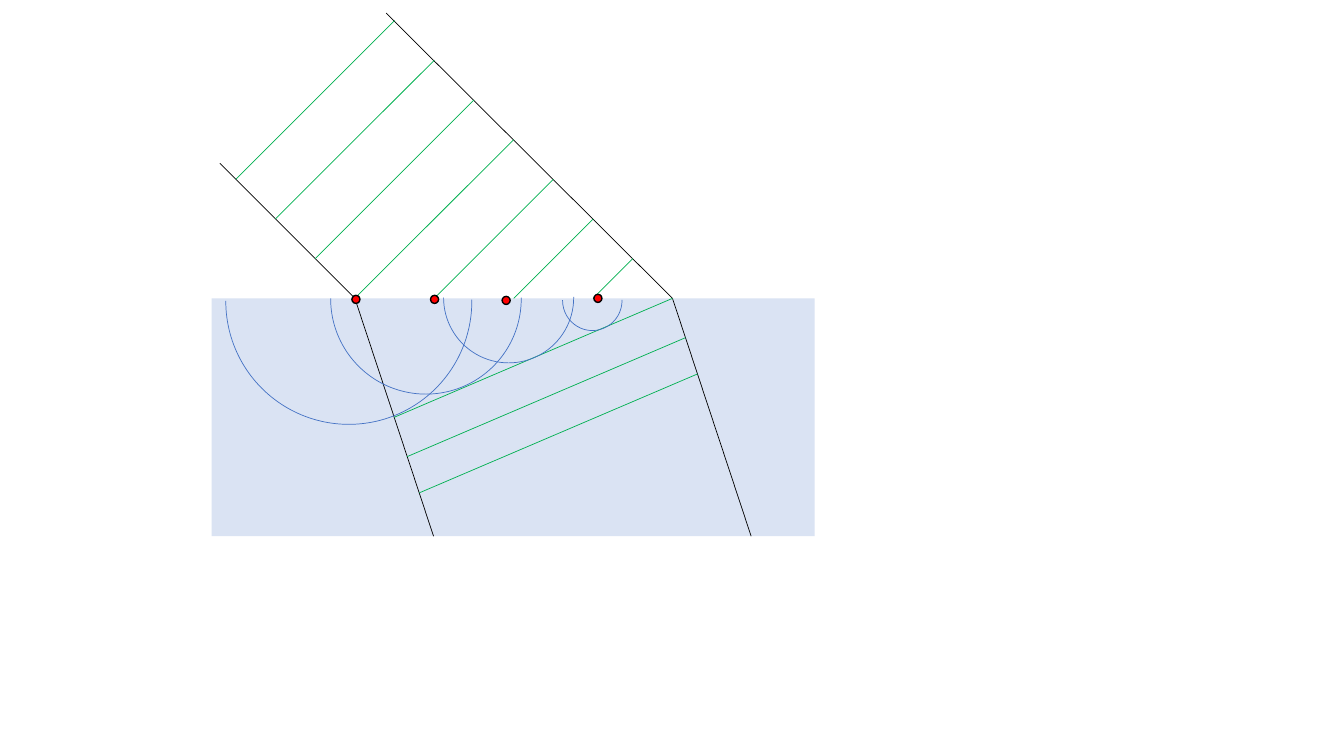
from typing import NamedTuple

from lxml import etree
from pptx import Presentation
from pptx.dml.color import RGBColor
from pptx.enum.shapes import MSO_CONNECTOR, MSO_SHAPE
from pptx.oxml.ns import qn
from pptx.util import Inches, Pt

BLACK = RGBColor(0x00, 0x00, 0x00)
RED = RGBColor(0xFF, 0x00, 0x00)
GREEN = RGBColor(0x00, 0xB0, 0x50)
BLUE = RGBColor(0x44, 0x72, 0xC4)
PALE_BLUE = RGBColor(0xDA, 0xE3, 0xF3)

SURFACE, BOTTOM = 2.96, 5.32
LEFT_HIT, RIGHT_HIT = 3.52, 6.67
REFRACTED_SHIFT = 0.78
SPACING = (RIGHT_HIT - LEFT_HIT) / 8
HALF_CIRCLE = (215.515, 108.156)
SOURCE_SIZE = 0.08


class Point(NamedTuple):
    """A place on the slide, in inches."""
    x: float
    y: float


class Wavelet(NamedTuple):
    """The box of the full circle of one secondary wave, in inches."""
    left: float
    top: float
    width: float
    height: float


WAVELETS = [
    Wavelet(2.24, 1.77, 2.44, 2.44),
    Wavelet(3.28, 2.02, 1.89, 1.89),
    Wavelet(4.4, 2.31, 1.29, 1.29),
    Wavelet(5.58, 2.68, 0.59, 0.6),
]
SOURCES = [Point(4.27, 2.93), Point(4.98, 2.94), Point(5.89, 2.92), Point(3.49, 2.93)]

presentation = Presentation()
presentation.slide_width, presentation.slide_height = Inches(13.33), Inches(7.5)
slide = presentation.slides.add_slide(presentation.slide_layouts[6])


def add_line(start: Point, end: Point, color: RGBColor) -> None:
    """Draw a thin straight line without a shadow."""
    line = slide.shapes.add_connector(
        MSO_CONNECTOR.STRAIGHT, *(Inches(value) for value in (*start, *end)))
    line.line.color.rgb = color
    line.line.width = Pt(0.5)
    etree.SubElement(line._element.spPr, qn("a:effectLst"))


def add_medium() -> None:
    """Draw the denser medium below the surface."""
    medium = slide.shapes.add_shape(
        MSO_SHAPE.RECTANGLE, Inches(2.1), Inches(SURFACE),
        Inches(5.98), Inches(BOTTOM - SURFACE))
    medium.shadow.inherit = False
    medium.fill.solid()
    medium.fill.fore_color.rgb = PALE_BLUE
    medium.line.fill.background()


def add_wavelet(wavelet: Wavelet) -> None:
    """Draw the lower half of a secondary wave."""
    arc = slide.shapes.add_shape(MSO_SHAPE.ARC, *(Inches(value) for value in wavelet))
    arc.adjustments[0], arc.adjustments[1] = HALF_CIRCLE
    arc.shadow.inherit = False
    arc.fill.background()
    arc.line.color.rgb = BLUE
    arc.line.width = Pt(0.5)


def add_source(corner: Point) -> None:
    """Draw a point source on the surface."""
    dot = slide.shapes.add_shape(
        MSO_SHAPE.OVAL, Inches(corner.x), Inches(corner.y),
        Inches(SOURCE_SIZE), Inches(SOURCE_SIZE))
    dot.shadow.inherit = False
    dot.fill.solid()
    dot.fill.fore_color.rgb = RED
    dot.line.color.rgb = BLACK
    dot.line.width = Pt(1)


def add_beam() -> None:
    """Draw both edges of the beam, above and below the surface."""
    for start, hit in ((Point(2.18, 1.62), LEFT_HIT), (Point(3.83, 0.13), RIGHT_HIT)):
        add_line(start, Point(hit, SURFACE), BLACK)
        add_line(Point(hit, SURFACE), Point(hit + REFRACTED_SHIFT, BOTTOM), BLACK)


def add_incident_wavefronts() -> None:
    """Draw equally spaced wavefronts, cut off where they meet the surface."""
    for step in range(-3, 4):
        if step <= 0:
            start = Point(LEFT_HIT + step * SPACING, SURFACE + step * SPACING)
        else:
            start = Point(LEFT_HIT + 2 * step * SPACING, SURFACE)
        end = Point(LEFT_HIT + (4 + step) * SPACING, SURFACE + (step - 4) * SPACING)
        add_line(start, end, GREEN)


def add_refracted_wavefronts() -> None:
    """Draw parallel wavefronts moved down along the refracted beam."""
    for depth in (0, 0.39, 0.75):
        shift = depth * REFRACTED_SHIFT / (BOTTOM - SURFACE)
        add_line(Point(3.91 + shift, 4.14 + depth),
                 Point(RIGHT_HIT + shift, SURFACE + depth), GREEN)


add_medium()
add_beam()
add_refracted_wavefronts()
add_incident_wavefronts()
for wavelet in WAVELETS:
    add_wavelet(wavelet)
for source in SOURCES:
    add_source(source)

presentation.save("out.pptx")
